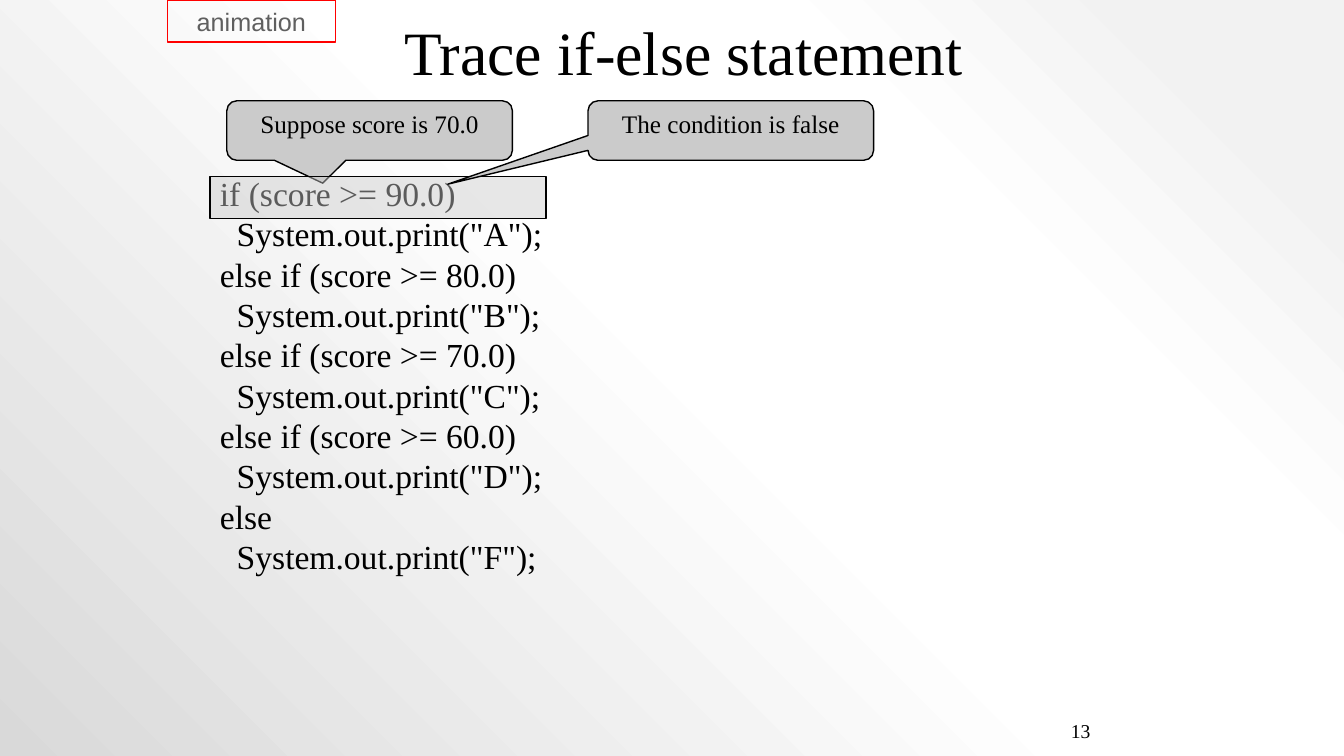
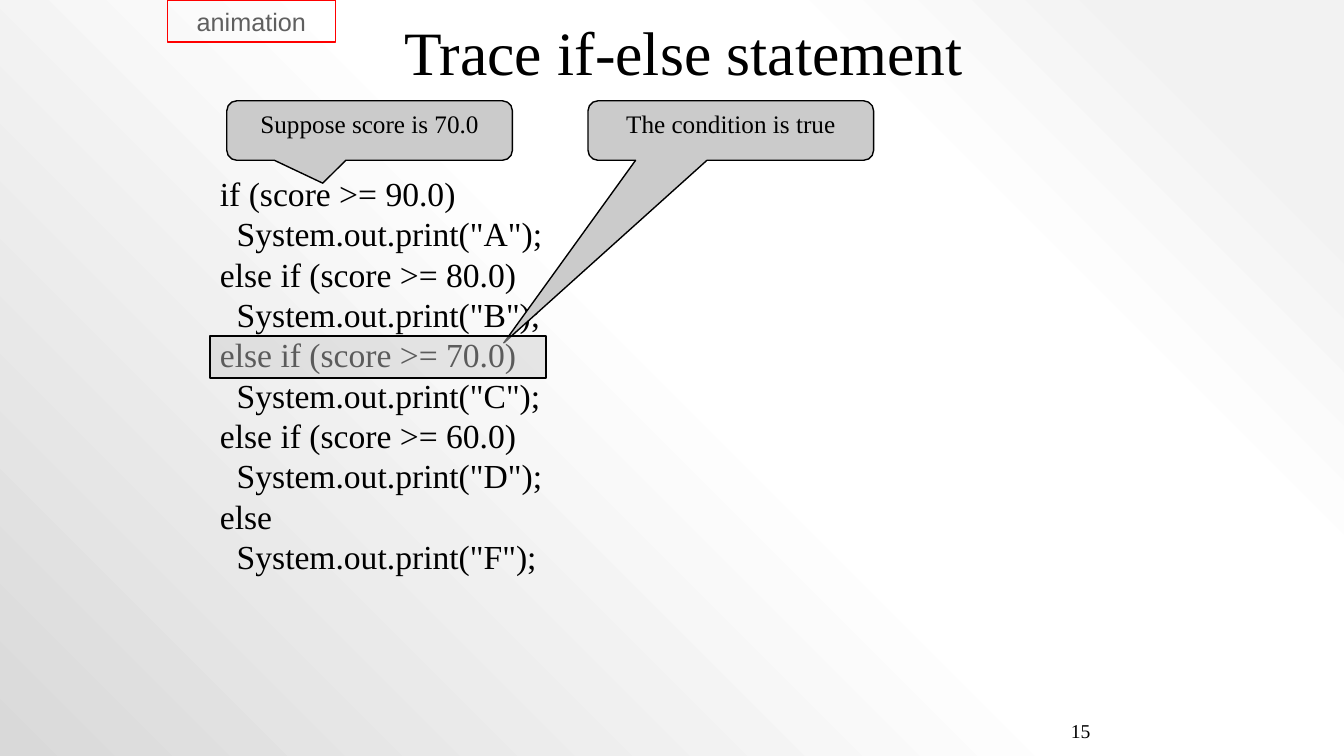
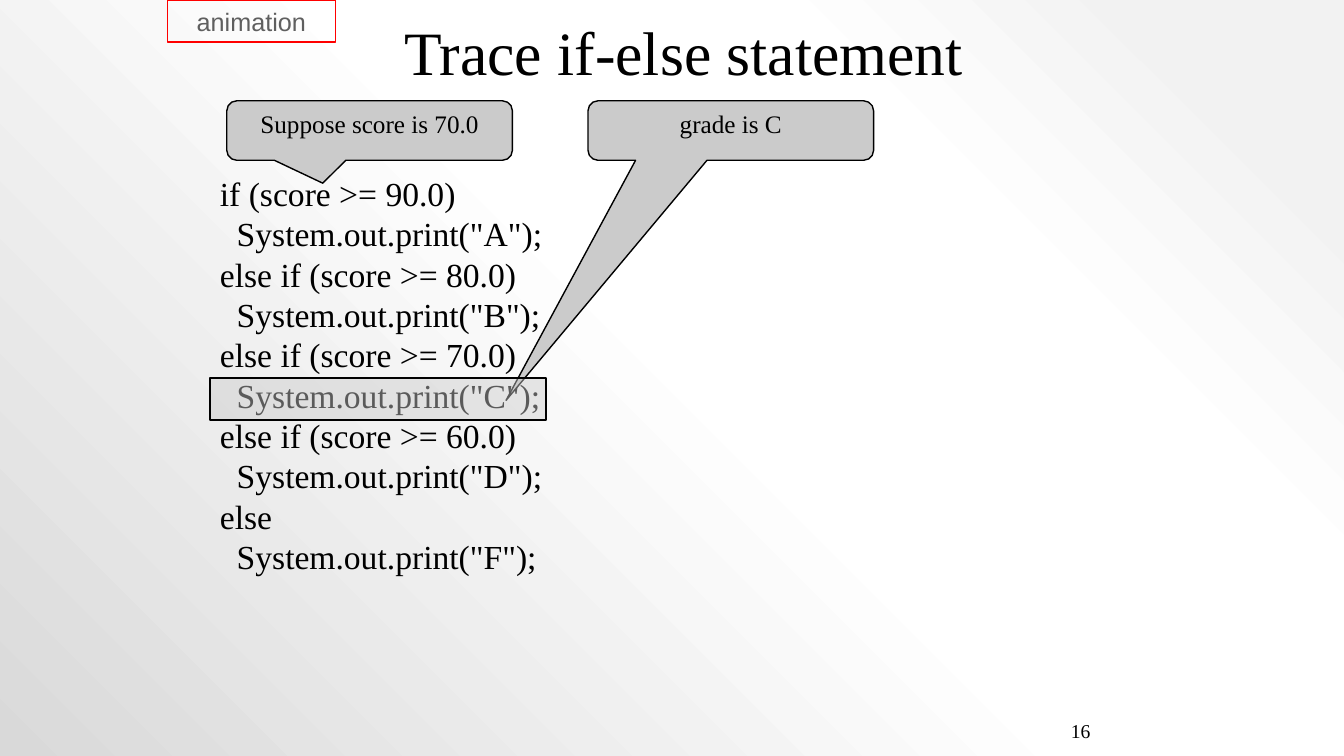
"""Build three slides that trace a Java if-else statement."""
from lxml.etree import SubElement
from pptx import Presentation
from pptx.dml.color import RGBColor
from pptx.enum.shapes import MSO_SHAPE
from pptx.enum.text import MSO_ANCHOR, PP_ALIGN
from pptx.oxml import parse_xml
from pptx.oxml.ns import nsdecls, qn
from pptx.util import Pt

COLORS = {
    "ink": "000000",
    "muted": "5F5F5F",
    "panel": "CBCBCB",
    "tag": "FF0000",
    "edge": "F2F2F2",
    "paper": "FFFFFF",
    "shade": "D9D9D9",
}
BACKGROUND_STOPS = [(10, "edge"), (28, "paper"), (48, "paper"), (100, "shade")]
SERIF = "Times New Roman"
SANS = "Arial"

BRANCHES = [
    ("if (score >= 90.0)", "A"),
    ("else if (score >= 80.0)", "B"),
    ("else if (score >= 70.0)", "C"),
    ("else if (score >= 60.0)", "D"),
    ("else", "F"),
]
STEPS = [
    {"number": "13", "note": "The condition is false", "tip": (-0.991, 0.902),
     "highlight_top": 126, "note_in_front": True},
    {"number": "15", "note": "The condition is true", "tip": (-0.795, 3.571),
     "highlight_top": 240, "note_in_front": False},
    {"number": "16", "note": "grade is C", "tip": (-0.787, 4.536),
     "highlight_top": 270, "note_in_front": False},
]


class TraceDeck:
    """Hold the deck style and the current page."""

    def __init__(self):
        self.deck = Presentation()
        self.deck.slide_width = Pt(960)
        self.deck.slide_height = Pt(540)
        self.page = None
        self.set_background()

    def set_background(self):
        """Give the master a gradient that spreads from the top right corner."""
        master = self.deck.slide_master
        master.background.fill.solid()
        properties = master.element.find(".//" + qn("p:bgPr"))
        stops = "".join(
            f'<a:gs pos="{position * 1000}"><a:srgbClr val="{COLORS[name]}"/></a:gs>'
            for position, name in BACKGROUND_STOPS
        )
        gradient = parse_xml(
            f'<a:gradFill {nsdecls("a")} rotWithShape="1"><a:gsLst>{stops}</a:gsLst>'
            '<a:path path="circle"><a:fillToRect l="100000" b="100000"/></a:path>'
            "</a:gradFill>"
        )
        properties.replace(properties[0], gradient)

    def add_page(self, title):
        """Start a page with its title."""
        self.page = self.deck.slides.add_slide(self.deck.slide_layouts[5])
        box = self.page.shapes.title
        box.left, box.top, box.width, box.height = Pt(173.5), Pt(0), Pt(630), Pt(72)
        self.set_text(box, title, 44, align=PP_ALIGN.CENTER, anchor=MSO_ANCHOR.MIDDLE)

    def set_text(self, box, text, size, font=SERIF, color="ink",
                 align=PP_ALIGN.LEFT, anchor=MSO_ANCHOR.TOP):
        """Put one styled paragraph in a box."""
        box.text_frame.word_wrap = True
        box.text_frame.vertical_anchor = anchor
        self.fill_paragraph(box.text_frame.paragraphs[0], text, size, font, color, align)

    def fill_paragraph(self, para, text, size, font=SERIF, color="ink",
                       align=PP_ALIGN.LEFT, indent=0):
        """Style a paragraph and add its run."""
        para.alignment = align
        para.line_spacing = Pt(size * 1.2)
        if indent:
            para._p.get_or_add_pPr().set("marL", str(Pt(indent)))
        span = para.add_run()
        span.text = text
        span.font.size = Pt(size)
        span.font.name = font
        span.font.color.rgb = RGBColor.from_string(COLORS[color])

    def add_page_number(self, number):
        """Add the number at the foot of the page."""
        box = self.page.shapes.add_textbox(Pt(636), Pt(504), Pt(150), Pt(36))
        self.set_text(box, number, 14, align=PP_ALIGN.RIGHT, anchor=MSO_ANCHOR.MIDDLE)

    def add_code(self, branches):
        """Add the listing with an indented print under each condition."""
        box = self.page.shapes.add_textbox(Pt(150), Pt(120), Pt(270), Pt(295))
        frame = box.text_frame
        frame.word_wrap = True
        para = frame.paragraphs[0]
        for condition, grade in branches:
            self.fill_paragraph(para, condition, 24)
            statement = f'System.out.print("{grade}");'
            self.fill_paragraph(frame.add_paragraph(), statement, 24, indent=12)
            if grade != branches[-1][1]:
                para = frame.add_paragraph()

    def add_block(self, kind, left, top, width, height, fill=None, line="ink"):
        """Add an outlined preset shape."""
        box = self.page.shapes.add_shape(kind, Pt(left), Pt(top), Pt(width), Pt(height))
        box.shadow.inherit = False
        box.line.color.rgb = RGBColor.from_string(COLORS[line])
        box.line.width = Pt(1)
        if fill:
            box.fill.solid()
            box.fill.fore_color.rgb = RGBColor.from_string(COLORS[fill])
        else:
            box.fill.background()
        return box

    def add_callout(self, text, left, tip):
        """Add a speech bubble that points at the code."""
        box = self.add_block(MSO_SHAPE.ROUNDED_RECTANGULAR_CALLOUT,
                             left, 72, 204, 42.5, fill="panel")
        for index, value in enumerate((*tip, 0.167)):
            box.adjustments[index] = value
        self.set_text(box, text, 18, align=PP_ALIGN.CENTER)

    def add_highlight(self, top):
        """Veil the current line of code."""
        box = self.add_block(MSO_SHAPE.RECTANGLE, 150, top, 240, 30, fill="panel")
        color = box.element.spPr.find(qn("a:solidFill")).find(qn("a:srgbClr"))
        SubElement(color, qn("a:alpha")).set("val", "45000")

    def add_tag(self, text):
        """Add the framed tag at the top edge."""
        box = self.add_block(MSO_SHAPE.RECTANGLE, 119.5, 0, 120, 30, line="tag")
        self.set_text(box, text, 18, font=SANS, color="muted",
                      align=PP_ALIGN.CENTER, anchor=MSO_ANCHOR.MIDDLE)


def main():
    """Draw every step and save the deck."""
    trace = TraceDeck()
    for step in STEPS:
        trace.add_page("Trace if-else statement")
        trace.add_page_number(step["number"])
        trace.add_code(BRANCHES)
        trace.add_callout("Suppose score is 70.0", 162, (-0.164, 0.885))
        if step["note_in_front"]:
            trace.add_highlight(step["highlight_top"])
        trace.add_callout(step["note"], 420, step["tip"])
        if not step["note_in_front"]:
            trace.add_highlight(step["highlight_top"])
        trace.add_tag("animation")
    trace.deck.save("out.pptx")


if __name__ == "__main__":
    main()
